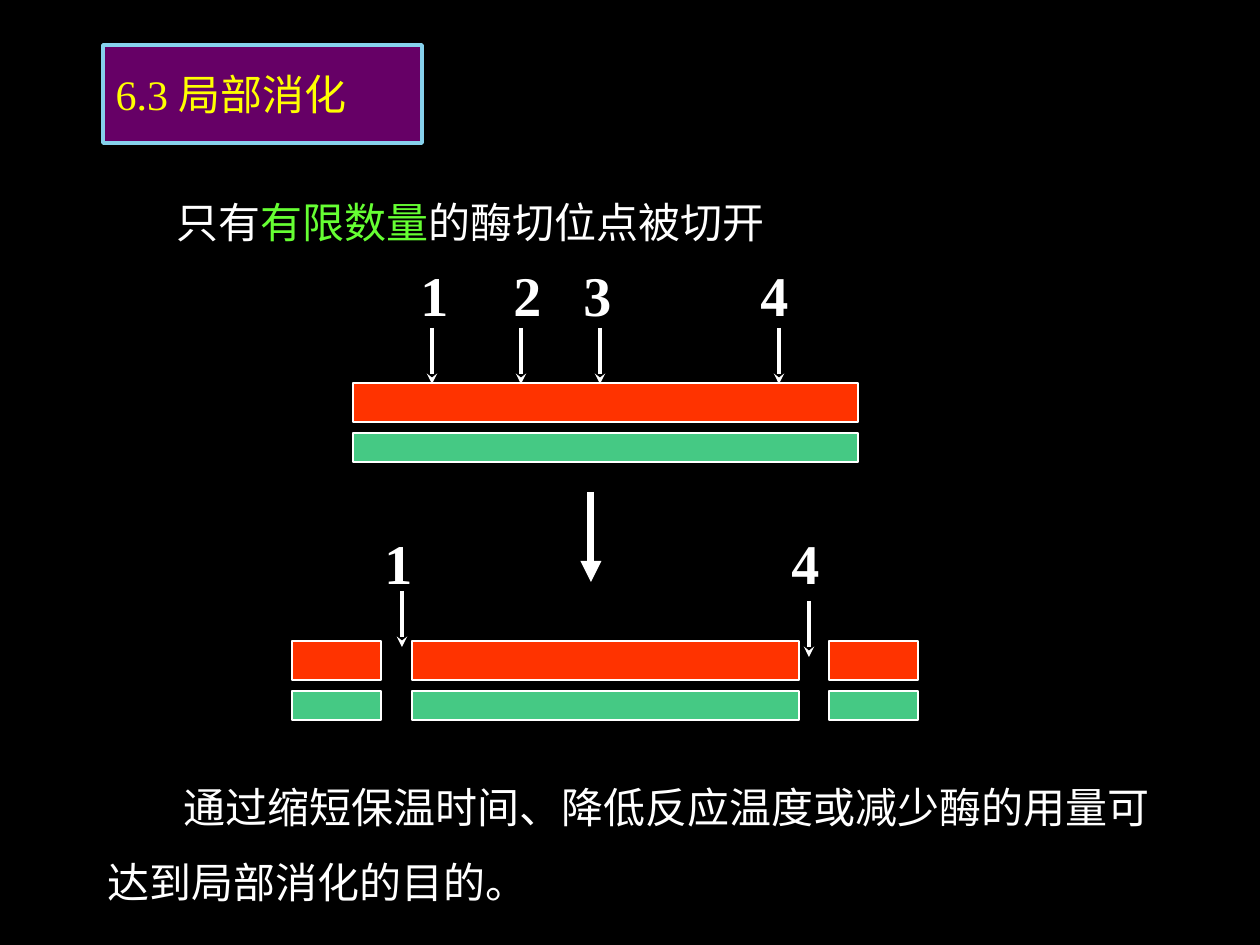
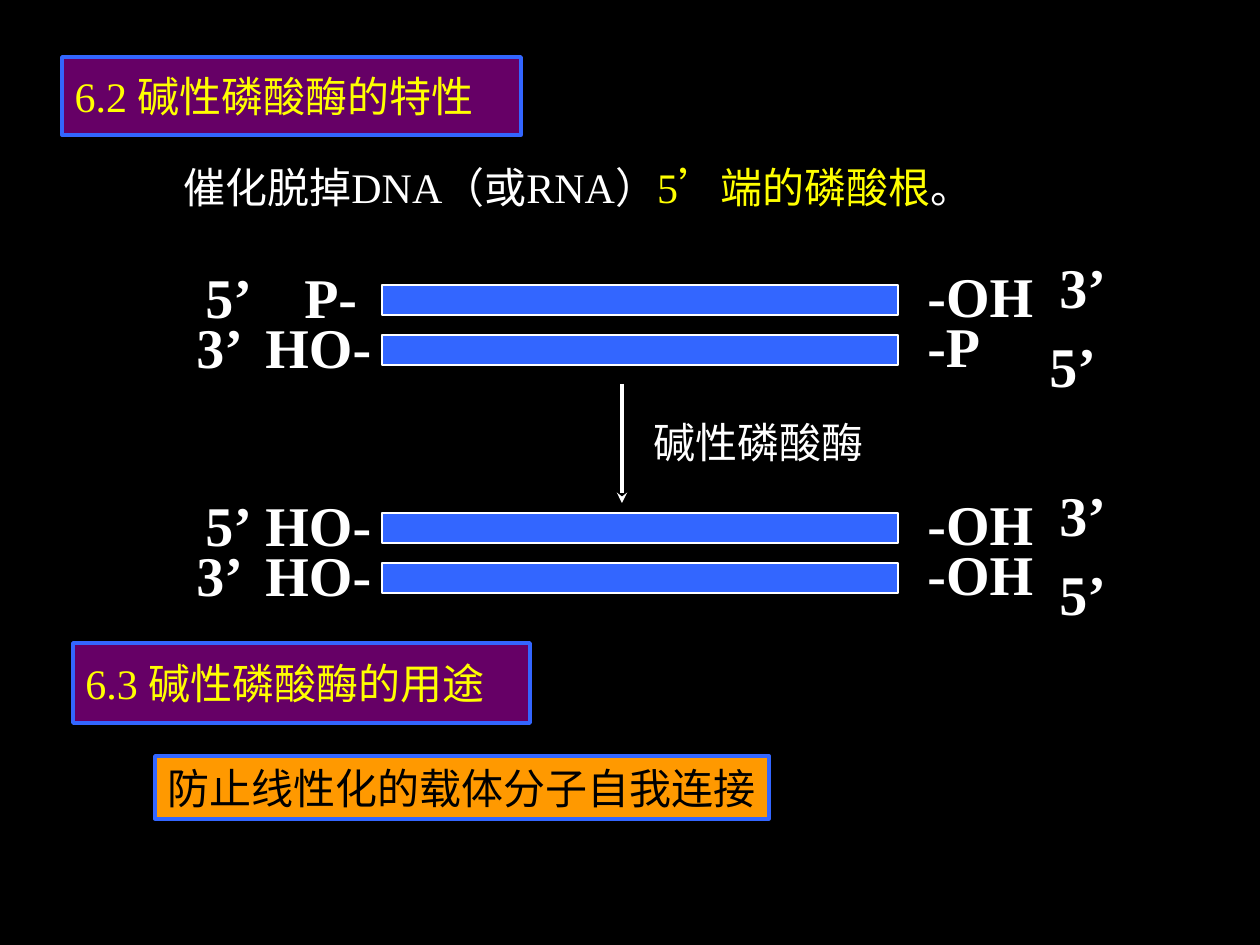
from dataclasses import dataclass

from lxml import etree
from pptx import Presentation
from pptx.dml.color import RGBColor
from pptx.enum.shapes import MSO_CONNECTOR, MSO_SHAPE
from pptx.enum.text import MSO_ANCHOR, MSO_AUTO_SIZE, PP_ALIGN
from pptx.oxml.ns import qn
from pptx.util import Emu, Pt

RECTANGLE = MSO_SHAPE.RECTANGLE
STRAIGHT = MSO_CONNECTOR.STRAIGHT
LEFT = PP_ALIGN.LEFT
TOP, MIDDLE = MSO_ANCHOR.TOP, MSO_ANCHOR.MIDDLE
FIXED, GROW = MSO_AUTO_SIZE.NONE, MSO_AUTO_SIZE.SHAPE_TO_FIT_TEXT
EMU_PER_PX = 914400 / 126
TITLE_ONLY = 5


@dataclass(frozen=True)
class Theme:
    background: str = "000000"
    text: str = "FFFFFF"
    heading: str = "FFFF00"
    heading_fill: str = "660066"
    accent: str = "66FF33"
    pale_blue: str = "86D1EC"
    blue: str = "3366FF"
    red: str = "FF3300"
    green: str = "45C984"
    orange: str = "FF9900"
    latin: str = "Times New Roman"
    chinese: str = "Noto Sans CJK SC"
    body_size: int = 24
    label_size: int = 32


def px(length):
    return Emu(round(length * EMU_PER_PX))


def rgb(value):
    return RGBColor.from_string(value)


def write(frame, spans, *, theme, size, bold=False, anchor=TOP, wrap=True,
          auto_size=GROW, line_spacing=None, indent=0):
    frame.word_wrap = wrap
    frame.auto_size = auto_size
    frame.vertical_anchor = anchor
    para = frame.paragraphs[0]
    para.alignment = LEFT
    if line_spacing:
        para.line_spacing = line_spacing
    if indent:
        para._p.get_or_add_pPr().set("indent", str(px(indent)))
    for text, color in spans:
        span = para.add_run()
        span.text = text
        span.font.name = theme.latin
        span.font.size = Pt(size)
        span.font.bold = bold
        span.font.color.rgb = rgb(color)
        etree.SubElement(span._r.get_or_add_rPr(), qn("a:ea"), typeface=theme.chinese)


class SlideBuilder:
    def __init__(self, deck, theme):
        self.deck = deck
        self.theme = theme
        self.page = None
        background = deck.slide_master.background.fill
        background.solid()
        background.fore_color.rgb = rgb(theme.background)

    def new_page(self):
        self.page = self.deck.slides.add_slide(self.deck.slide_layouts[TITLE_ONLY])

    def paint(self, shape, fill, line, width):
        shape.fill.solid()
        shape.fill.fore_color.rgb = rgb(fill)
        shape.line.color.rgb = rgb(line)
        shape.line.width = Pt(width)

    def heading_style(self, shape, text, border):
        self.paint(shape, self.theme.heading_fill, border, 2)
        write(shape.text_frame, [(text, self.theme.heading)], theme=self.theme,
              size=self.theme.body_size, anchor=MIDDLE, auto_size=FIXED)

    def title(self, text, left, top, width, height, border):
        shape = self.page.shapes.title
        shape.left, shape.top, shape.width, shape.height = map(px, (left, top, width, height))
        self.heading_style(shape, text, border)

    def heading(self, text, left, top, width, height, border):
        box = self.rectangle(left, top, width, height, self.theme.heading_fill)
        self.heading_style(box, text, border)

    def rectangle(self, left, top, width, height, fill, line=None, line_width=1):
        box = self.page.shapes.add_shape(RECTANGLE, *map(px, (left, top, width, height)))
        box.shadow.inherit = False
        self.paint(box, fill, line or self.theme.text, line_width)
        return box

    def text(self, spans, left, top, width, height, **style):
        box = self.page.shapes.add_textbox(*map(px, (left, top, width, height)))
        style.setdefault("size", self.theme.body_size)
        write(box.text_frame, spans, theme=self.theme, **style)

    def label(self, text, left, top, width):
        self.text([(text, self.theme.text)], left, top, width, 79,
                  size=self.theme.label_size, bold=True, wrap=False)

    def down_arrow(self, x, top, bottom, width=2, head="stealth"):
        arrow = self.page.shapes.add_connector(STRAIGHT, px(x), px(top), px(x), px(bottom))
        arrow.line.color.rgb = rgb(self.theme.text)
        arrow.line.width = Pt(width)
        etree.SubElement(arrow.line._get_or_add_ln(), qn("a:tailEnd"), type=head)
        etree.SubElement(arrow._element.spPr, qn("a:effectLst"))

    def duplex(self, left, top, width):
        self.rectangle(left, top, width, 39, self.theme.red)
        self.rectangle(left, top + 50, width, 29, self.theme.green)

    def cut_site(self, number, label_left, label_top, arrow_x, arrow_top):
        self.label(number, label_left, label_top, 53)
        self.down_arrow(arrow_x, arrow_top, arrow_top + 56)


def partial_digestion(builder):
    theme = builder.theme
    builder.new_page()
    builder.title("6.3 局部消化", 103, 45, 319, 98, theme.pale_blue)
    builder.text([("只有", theme.text), ("有限数量", theme.accent),
                  ("的酶切位点被切开", theme.text)],
                 164, 165, 893, 88, line_spacing=1.5)
    builder.text([("通过缩短保温时间、降低反应温度或减少酶的用量可达到局部消化的目的。", theme.text)],
                 95, 750, 1081, 164, line_spacing=1.5, indent=76)

    builder.duplex(353, 383, 505)
    for number, label_left, arrow_x in (("1", 408, 432), ("2", 501, 521),
                                        ("3", 571, 600), ("4", 748, 779)):
        builder.cut_site(number, label_left, 254, arrow_x, 328)

    builder.down_arrow(591, 492, 582, width=4, head="triangle")
    for left, width in ((292, 89), (412, 387), (829, 89)):
        builder.duplex(left, 641, width)
    builder.cut_site("1", 372, 522, 402, 591)
    builder.cut_site("4", 779, 522, 809, 601)


def alkaline_phosphatase(builder):
    theme = builder.theme
    builder.new_page()
    builder.title("6.2 碱性磷酸酶的特性", 62, 57, 459, 78, theme.blue)
    builder.text([("催化脱掉DNA（或RNA）", theme.text), ("5’端的磷酸根", theme.heading),
                  ("。", theme.text)], 171, 155, 1089, 63)

    label_widths = {"5’": 72, "3’": 72, "P-": 78, "-P": 78, "HO-": 131, "-OH": 131}
    strands = (
        (285, ("5’", 193), ("P-", 292), "-OH", ("3’", 1047, 246)),
        (335, ("3’", 184), ("HO-", 253), "-P", ("5’", 1037, 325)),
        (513, ("5’", 193), ("HO-", 253), "-OH", ("3’", 1047, 474)),
        (563, ("3’", 184), ("HO-", 253), "-OH", ("5’", 1047, 553)),
    )
    for top, left_end, left_group, right_group, (right_end, right_x, right_top) in strands:
        builder.rectangle(382, top, 516, 30, theme.blue)
        labels = [(text, x, top - 29) for text, x in (left_end, left_group)]
        labels += [(right_group, 915, top - 30), (right_end, right_x, right_top)]
        for text, x, y in labels:
            builder.label(text, x, y, label_widths[text])

    builder.down_arrow(622, 384, 503)
    builder.text([("碱性磷酸酶", theme.text)], 641, 410, 236, 63, wrap=False)
    builder.heading("6.3 碱性磷酸酶的用途", 73, 643, 457, 80, theme.blue)
    note = builder.rectangle(155, 756, 614, 63, theme.orange, theme.blue, 2)
    write(note.text_frame, [("防止线性化的载体分子自我连接", theme.background)],
          theme=theme, size=theme.body_size, wrap=False)


def main():
    deck = Presentation()
    deck.slide_width, deck.slide_height = px(1260), px(945)
    builder = SlideBuilder(deck, Theme())
    partial_digestion(builder)
    alkaline_phosphatase(builder)
    deck.save("out.pptx")


if __name__ == "__main__":
    main()
